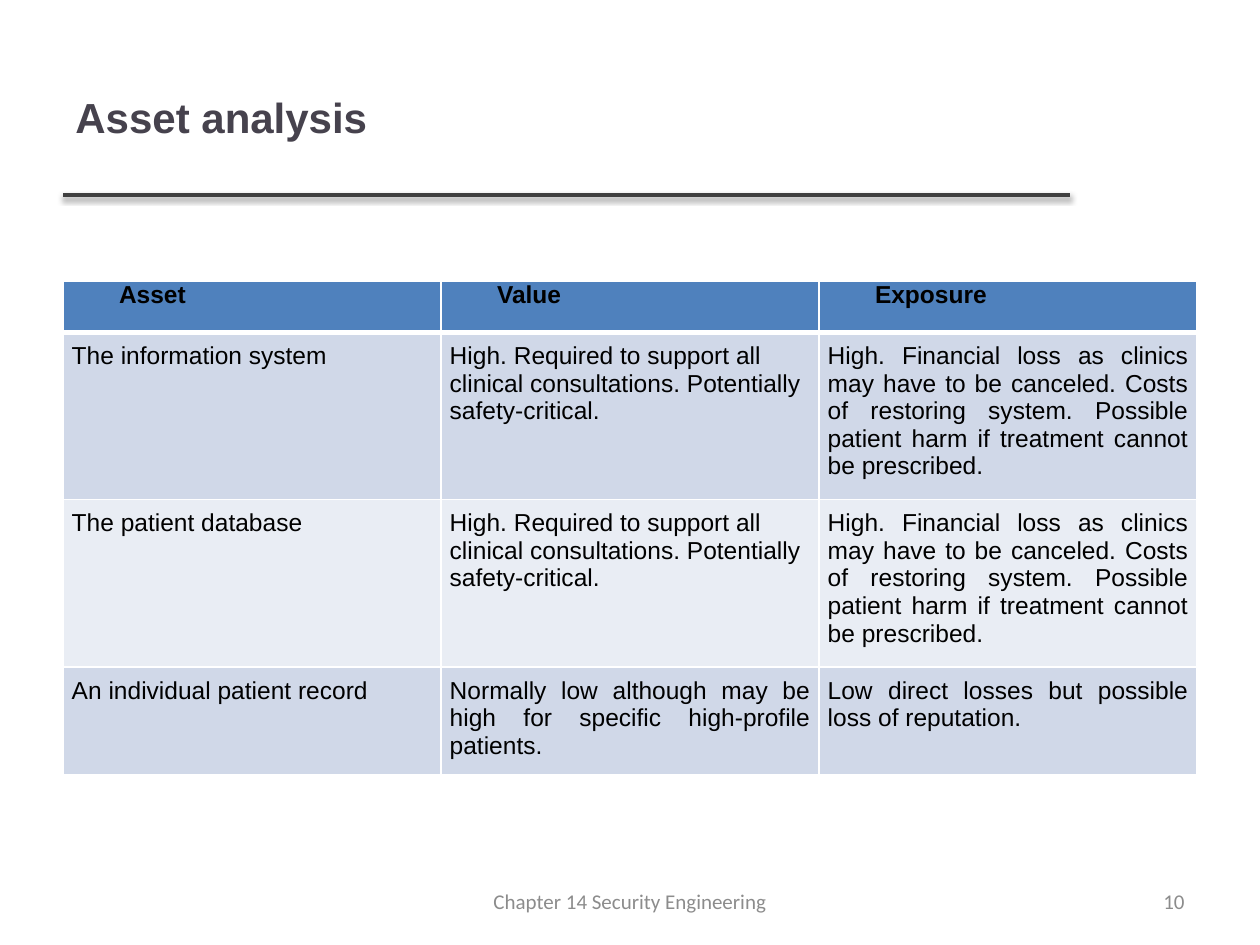
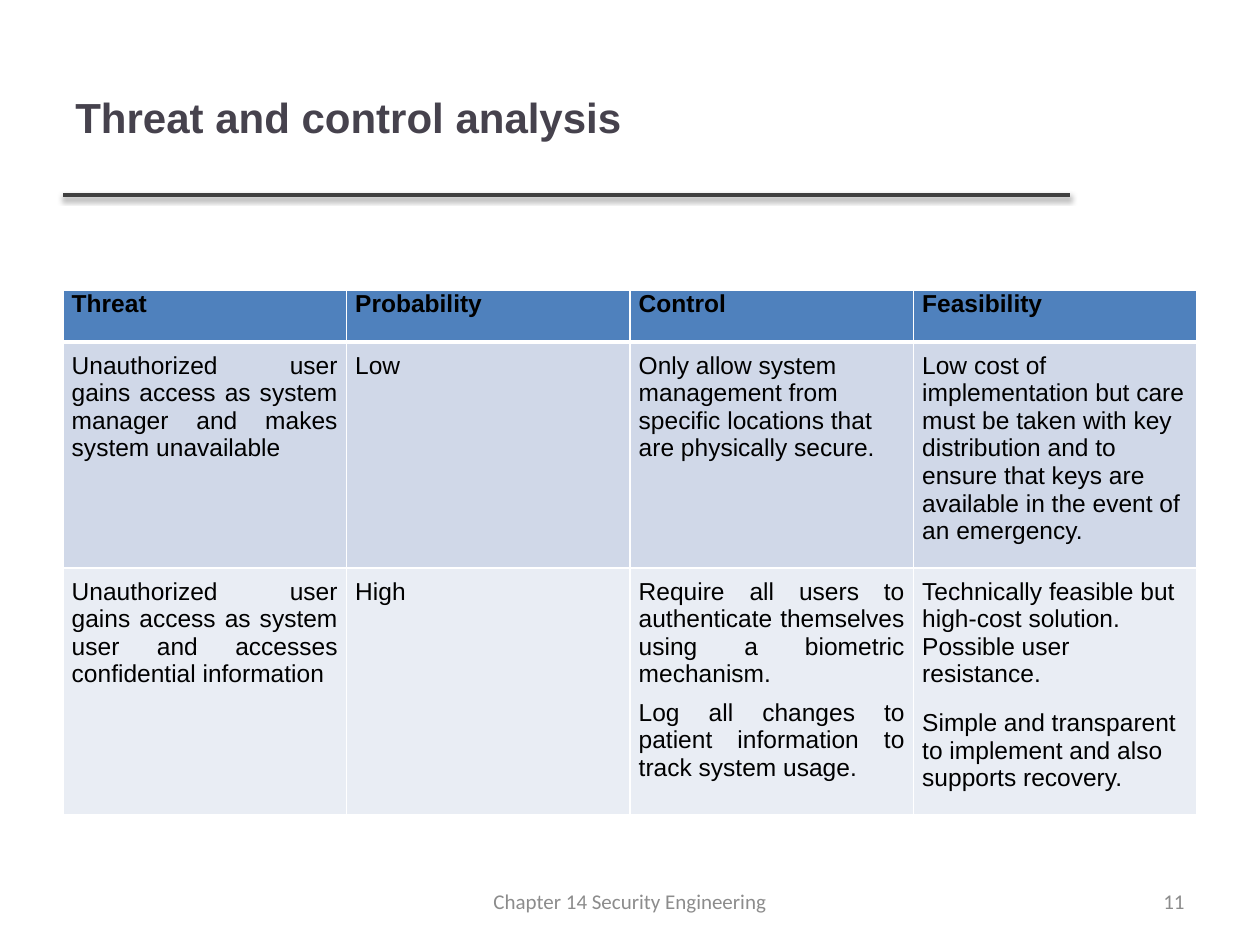
from lxml.etree import SubElement
from pptx import Presentation
from pptx.dml.color import RGBColor
from pptx.enum.shapes import MSO_CONNECTOR
from pptx.enum.text import MSO_ANCHOR, PP_ALIGN
from pptx.oxml.ns import qn
from pptx.util import Pt

# Shared look
TITLE_COLOR, RULE_COLOR, FOOTER_COLOR = "46424D", "404040", "8C8C8C"
HEADER_FILL, BAND_FILLS = "4F81BD", ("D0D8E8", "E9EDF4")
BORDER_COLOR, TABLE_TEXT = "FFFFFF", "000000"
MARGIN, TABLE_WIDTH, ROW_HEIGHT = 36, 648, 29.5
FOOTER_TOP, FOOTER_HEIGHT = 500.5, 28.75
FOOTER = "Chapter 14 Security Engineering"
LEFT, CENTER, RIGHT, JUSTIFY = (
    PP_ALIGN.LEFT, PP_ALIGN.CENTER, PP_ALIGN.RIGHT, PP_ALIGN.JUSTIFY)


def color(hex_string):
    return RGBColor.from_string(hex_string)


def write(para, text, font="Arial", size=14, ink=TABLE_TEXT, bold=False,
          align=LEFT, before=0, after=0, indent=0):
    """Put formatted text into a paragraph."""
    para.alignment = align
    para.space_before, para.space_after = Pt(before), Pt(after)
    if indent:
        properties = para._p.get_or_add_pPr()
        properties.set("marL", "0")
        properties.set("indent", str(Pt(indent)))
    span = para.add_run()
    span.text = text
    span.font.name, span.font.size, span.font.bold = font, Pt(size), bold
    span.font.color.rgb = color(ink)


def add_text(page, left, top, width, height, text, **text_format):
    box = page.shapes.add_textbox(Pt(left), Pt(top), Pt(width), Pt(height))
    frame = box.text_frame
    frame.word_wrap = True
    frame.vertical_anchor = MSO_ANCHOR.MIDDLE
    write(frame.paragraphs[0], text, **text_format)


def add_rule(page, left, right, top):
    """Draw the line under the title, with its soft shadow below."""
    rule = page.shapes.add_connector(
        MSO_CONNECTOR.STRAIGHT, Pt(left), Pt(top), Pt(right), Pt(top))
    rule.line.color.rgb = color(RULE_COLOR)
    rule.line.width = Pt(2)
    effects = SubElement(rule._element.spPr, qn("a:effectLst"))
    shadow = SubElement(
        effects, qn("a:outerShdw"), blurRad=str(Pt(3.1)), dist=str(Pt(1.6)),
        dir="5400000", rotWithShape="0")
    shade = SubElement(shadow, qn("a:srgbClr"), val="000000")
    SubElement(shade, qn("a:alpha"), val="38000")


def add_borders(cell, top, bottom):
    properties = cell._tc.get_or_add_tcPr()
    for side, width in (("L", 1), ("R", 1), ("T", top), ("B", bottom)):
        line = SubElement(properties, qn(f"a:ln{side}"), w=str(Pt(width)))
        fill = SubElement(line, qn("a:solidFill"))
        SubElement(fill, qn("a:srgbClr"), val=BORDER_COLOR)


def fill_cell(cell, paragraphs, row):
    """Style one cell; each paragraph is a (text, format) pair."""
    add_borders(cell, 3 if row == 1 else 1, 3 if row == 0 else 1)
    cell.fill.solid()
    cell.fill.fore_color.rgb = color(
        BAND_FILLS[(row - 1) % 2] if row else HEADER_FILL)
    cell.margin_left = cell.margin_right = Pt(5)
    cell.margin_top = cell.margin_bottom = Pt(5.75 if row else 0)
    cell.vertical_anchor = MSO_ANCHOR.TOP
    frame = cell.text_frame
    for number, (text, text_format) in enumerate(paragraphs):
        para = frame.add_paragraph() if number else frame.paragraphs[0]
        write(para, text, **text_format)


def add_grid(page, top, height, header, header_format, body):
    rows = [[[para(text, bold=True, **header_format)] for text in header]]
    rows += body
    frame = page.shapes.add_table(
        len(rows), len(header), Pt(MARGIN), Pt(top), Pt(TABLE_WIDTH),
        Pt(height))
    table = frame.table
    for column in table.columns:
        column.width = Pt(TABLE_WIDTH / len(header))
    for row, contents in enumerate(rows):
        table.rows[row].height = Pt(ROW_HEIGHT)
        for column, paragraphs in enumerate(contents):
            fill_cell(table.cell(row, column), paragraphs, row)
    frame.height = Pt(height)


def para(text, align=JUSTIFY, **text_format):
    return text, dict(text_format, align=align)


def add_page(deck, title, number):
    """Start a page with title, rule, footer and page number."""
    page = deck.slides.add_slide(deck.slide_layouts[6])
    add_rule(page, MARGIN, 611.5, 111.5)
    add_text(page, MARGIN, 21.6, 574.75, 90, title,
             size=24, ink=TITLE_COLOR, bold=True)
    small = dict(font="Calibri", size=12, ink=FOOTER_COLOR)
    add_text(page, 246, FOOTER_TOP, 228, FOOTER_HEIGHT, FOOTER,
             align=CENTER, **small)
    add_text(page, 516, FOOTER_TOP, 168, FOOTER_HEIGHT, str(number),
             align=RIGHT, **small)
    return page


def add_asset_page(deck):
    value = [para("High. Required to support all clinical consultations. "
                  "Potentially safety-critical.", LEFT)]
    exposure = [para("High. Financial loss as clinics may have to be canceled. "
                     "Costs of restoring system. Possible patient harm if "
                     "treatment cannot be prescribed.")]
    body = [
        [[para("The information system")], value, exposure],
        [[para("The patient database")], value, exposure],
        [[para("An individual patient record")],
         [para("Normally low although may be high for specific "
               "high-profile patients.")],
         [para("Low direct losses but possible loss of reputation.")]],
    ]
    page = add_page(deck, "Asset analysis", 10)
    add_grid(page, 160.5, 281.5, ["Asset", "Value", "Exposure"],
             dict(indent=27), body)


def add_threat_page(deck):
    body = [
        [[para("Unauthorized user gains access as system manager and makes "
               "system unavailable")],
         [para("Low")],
         [para("Only allow system management from specific locations that "
               "are physically secure.", LEFT)],
         [para("Low cost of implementation but care must be taken with key "
               "distribution and to ensure that keys are available in the "
               "event of an emergency.", LEFT)]],
        [[para("Unauthorized user gains access as system user and accesses "
               "confidential information", before=6)],
         [para("High", before=6)],
         [para("Require all users to authenticate themselves using a "
               "biometric mechanism.", before=6, after=6),
          para("Log all changes to patient information to track system "
               "usage.")],
         [para("Technically feasible but high-cost solution. Possible user "
               "resistance.", LEFT, before=6, after=6),
          para("Simple and transparent to implement and also supports "
               "recovery.", LEFT, before=6)]],
    ]
    page = add_page(deck, "Threat and control analysis", 11)
    add_grid(page, 166, 298.75,
             ["Threat", "Probability", "Control", "Feasibility"],
             dict(before=3, after=3), body)


def main():
    deck = Presentation()
    deck.slide_width, deck.slide_height = Pt(720), Pt(540)
    add_asset_page(deck)
    add_threat_page(deck)
    deck.save("out.pptx")


if __name__ == "__main__":
    main()
